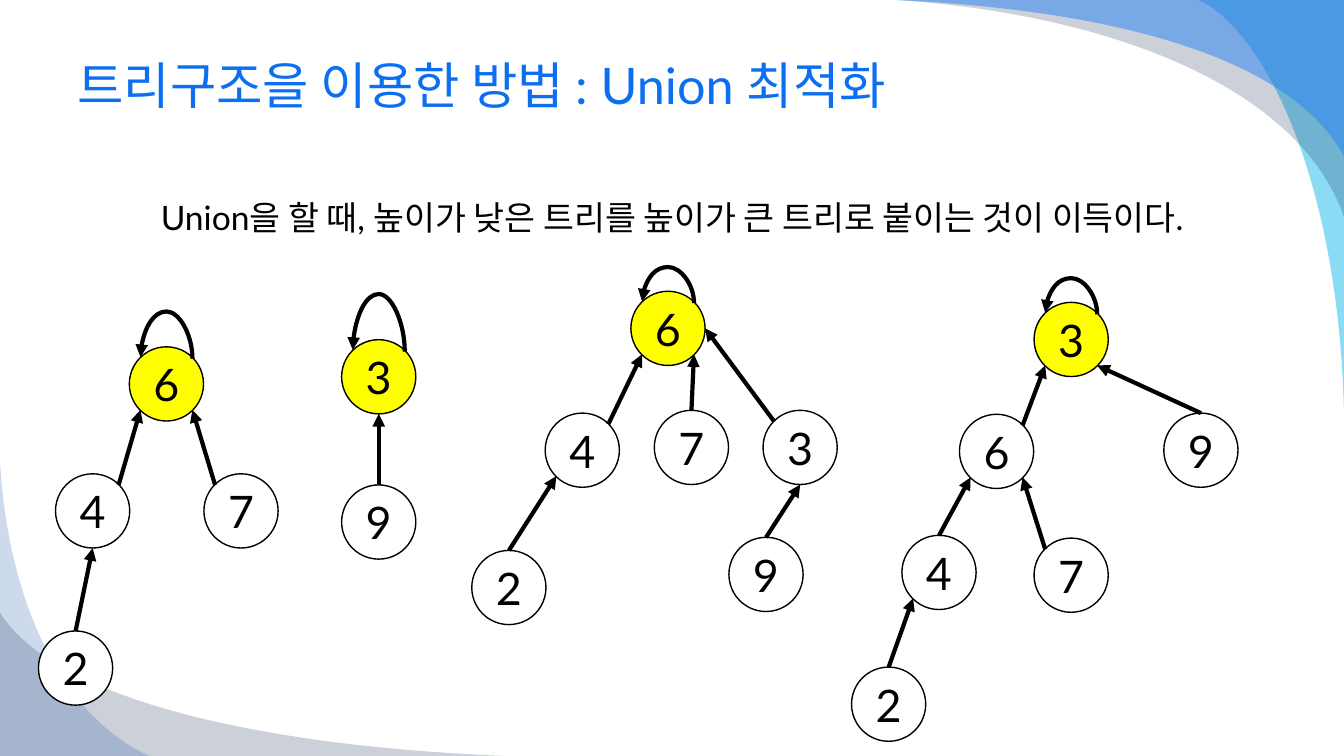
from pptx import Presentation
from pptx.dml.color import RGBColor
from pptx.enum.shapes import MSO_CONNECTOR, MSO_SHAPE
from pptx.enum.text import MSO_ANCHOR, MSO_AUTO_SIZE, PP_ALIGN
from pptx.oxml.ns import qn
from pptx.util import Cm, Pt
from lxml.etree import SubElement

COLORS = {
    "title": "0C6FF2",
    "ink": "000000",
    "root": "FFFF00",
    "node": "FFFFFF",
    "cyan": "00B1E9",
    "navy": "021741",
    "azure": "247FF4",
    "cobalt": "084AA1",
}
FONT = "Lato"
WIDTH, HEIGHT = 33.87, 19.05
DIAMETER = 1.87
DIAGONAL = 0.35
LOOP_TILT = 0.04
CURVE_STEPS = 40

SITES = {
    "top": (0, -0.5),
    "right": (0.5, 0),
    "bottom": (0, 0.5),
    "top left": (-DIAGONAL, -DIAGONAL),
    "top right": (DIAGONAL, -DIAGONAL),
    "bottom left": (-DIAGONAL, DIAGONAL),
    "bottom right": (DIAGONAL, DIAGONAL),
}

TOP_RIGHT_WAVES = [
    ("cyan", 45, [(30.2, 0), (31.88, 0.76), (33.73, 4.57), (WIDTH, 10.36)]),
    ("navy", 20, [(22.58, 0), (28.19, 0.38), (32.77, 2.29), (WIDTH, 5.46)]),
    ("azure", 49, [(22.58, 0), (27.94, 0.25), (32.51, 1.4), (WIDTH, 3.94)]),
]
BOTTOM_LEFT_WAVES = [
    ("navy", 20, [(0, 15.44), (1.4, 17.65), (6.6, 18.8), (12.7, HEIGHT)]),
    ("cobalt", 20, [(0, 11.63), (0.2, 15.11), (1.52, 18.03), (3.76, HEIGHT)]),
]

TREES = [
    (0.97, 8.74, 1.19, [
        ("6", 2.29, 0, None, None, None),
        ("4", 0.43, 3.2, "6", "top right", "bottom left"),
        ("7", 4.17, 3.2, "6", "top left", "bottom right"),
        ("2", 0, 7.16, "4", "top", "bottom"),
    ]),
    (8.61, 8.56, 1.45, [
        ("3", 0, 0, None, None, None),
        ("9", 0, 3.66, "3", "top", "bottom"),
    ]),
    (11.89, 7.34, 0.91, [
        ("6", 4.01, 0, None, None, None),
        ("4", 1.85, 3.07, "6", "top right", "bottom left"),
        ("7", 4.6, 3, "6", "top", "bottom right"),
        ("3", 7.34, 3, "6", "top left", "right"),
        ("2", 0, 6.53, "4", "top", "bottom left"),
        ("9", 6.48, 6.2, "3", "top", "bottom"),
    ]),
    (21.46, 7.62, 0.91, [
        ("3", 4.6, 0, None, None, None),
        ("6", 2.72, 2.82, "3", "top right", "bottom left"),
        ("9", 7.87, 2.79, "3", "top", "bottom right"),
        ("4", 1.27, 5.87, "6", "top", "bottom left"),
        ("7", 4.6, 5.94, "6", "top left", "bottom right"),
        ("2", 0, 9.19, "4", "top", "bottom left"),
    ]),
]


def color(name):
    return RGBColor.from_string(COLORS[name])


def format_text(paragraph, size, color_name):
    for run in paragraph.runs:
        run.font.name = FONT
        run.font.size = Pt(size)
        run.font.color.rgb = color(color_name)


def curve_point(controls, t):
    weights = ((1 - t) ** 3, 3 * t * (1 - t) ** 2, 3 * t ** 2 * (1 - t), t ** 3)
    return tuple(
        Cm(sum(weight * point[axis] for weight, point in zip(weights, controls)))
        for axis in (0, 1)
    )


def add_waves(slide, corner, waves):
    for color_name, opacity, controls in waves:
        builder = slide.shapes.build_freeform(Cm(corner[0]), Cm(corner[1]), scale=1.0)
        builder.add_line_segments(
            [curve_point(controls, step / CURVE_STEPS) for step in range(CURVE_STEPS + 1)]
        )
        wave = builder.convert_to_shape()
        wave.shadow.inherit = False
        wave.line.fill.background()
        wave.fill.solid()
        wave.fill.fore_color.rgb = color(color_name)
        fill_color = wave.element.spPr.find(".//" + qn("a:srgbClr"))
        SubElement(fill_color, qn("a:alpha"), val=str(opacity * 1000))


def place_text(shape, left, top, width, height, text, size, color_name, alignment):
    shape.left, shape.top, shape.width, shape.height = map(Cm, (left, top, width, height))
    shape.element.getparent().append(shape.element)
    frame = shape.text_frame
    frame.text = text
    frame.word_wrap = True
    frame.auto_size = MSO_AUTO_SIZE.NONE
    paragraph = frame.paragraphs[0]
    paragraph.alignment = alignment
    paragraph.space_before = Pt(0)
    format_text(paragraph, size, color_name)


def add_heading(slide, left, top, width):
    title = slide.shapes.title
    place_text(title, left, top, width, 2.57, "트리구조을 이용한 방법 : Union 최적화",
               36, "title", PP_ALIGN.LEFT)
    title.text_frame.vertical_anchor = MSO_ANCHOR.MIDDLE


def add_statement(slide, left, top, width):
    body = slide.placeholders[1]
    place_text(body, left, top, width, 2.95,
               "Union을 할 때, 높이가 낮은 트리를 높이가 큰 트리로 붙이는 것이 이득이다.",
               24, "ink", PP_ALIGN.CENTER)
    body.text_frame.vertical_anchor = MSO_ANCHOR.TOP
    body.text_frame.margin_top = Cm(1.2)
    properties = body.text_frame.paragraphs[0]._p.get_or_add_pPr()
    properties.set("marL", "0")
    properties.set("indent", "0")
    SubElement(properties, qn("a:buNone"))


def add_node(slide, center, label, fill_name):
    left, top = (Cm(value - DIAMETER / 2) for value in center)
    node = slide.shapes.add_shape(MSO_SHAPE.OVAL, left, top, Cm(DIAMETER), Cm(DIAMETER))
    node.shadow.inherit = False
    node.fill.solid()
    node.fill.fore_color.rgb = color(fill_name)
    node.line.color.rgb = color("ink")
    node.line.width = Pt(1)
    frame = node.text_frame
    frame.text = label
    frame.word_wrap = False
    frame.vertical_anchor = MSO_ANCHOR.MIDDLE
    frame.paragraphs[0].alignment = PP_ALIGN.CENTER
    format_text(frame.paragraphs[0], 32, "ink")


def site_point(center, site):
    return tuple(value + DIAMETER * offset for value, offset in zip(center, SITES[site]))


def add_arrow(slide, kind, start, end):
    arrow = slide.shapes.add_connector(kind, *map(Cm, start + end))
    arrow.line.width = Pt(3)
    arrow.line.color.rgb = color("ink")
    properties = arrow.element.spPr
    SubElement(properties.find(qn("a:ln")), qn("a:tailEnd"), type="triangle")
    SubElement(properties, qn("a:effectLst"))
    return arrow


def add_root_loop(slide, center, loop_height):
    x, y = center[0], center[1] - DIAMETER * DIAGONAL
    reach = DIAMETER * DIAGONAL
    tilt = LOOP_TILT / 2
    loop = add_arrow(slide, MSO_CONNECTOR.CURVE, (x - tilt, y + reach), (x + tilt, y - reach))
    properties = loop.element.spPr
    properties.find(qn("a:xfrm")).set("rot", str(270 * 60000))
    geometry = properties.find(qn("a:prstGeom"))
    adjustments = geometry.find(qn("a:avLst"))
    if adjustments is None:
        adjustments = SubElement(geometry, qn("a:avLst"))
    bend = round(loop_height / LOOP_TILT * 100000)
    SubElement(adjustments, qn("a:gd"), name="adj1", fmla=f"val {bend}")


def add_tree(slide, left, top, loop_height, nodes):
    centers = {}
    for label, x, y, parent, child_site, parent_site in nodes:
        center = (left + x + DIAMETER / 2, top + y + DIAMETER / 2)
        centers[label] = center
        add_node(slide, center, label, "node" if parent else "root")
        if parent:
            add_arrow(slide, MSO_CONNECTOR.STRAIGHT, site_point(center, child_site),
                      site_point(centers[parent], parent_site))
        else:
            add_root_loop(slide, center, loop_height)


def main():
    presentation = Presentation()
    presentation.slide_width = Cm(WIDTH)
    presentation.slide_height = Cm(HEIGHT)
    slide = presentation.slides.add_slide(presentation.slide_layouts[1])
    add_waves(slide, (WIDTH, 0), TOP_RIGHT_WAVES)
    add_waves(slide, (0, HEIGHT), BOTTOM_LEFT_WAVES)
    add_heading(slide, 1.7, 0.84, 30.48)
    add_statement(slide, 1.7, 3.76, 30.48)
    for tree in TREES:
        add_tree(slide, *tree)
    presentation.save("out.pptx")


if __name__ == "__main__":
    main()
